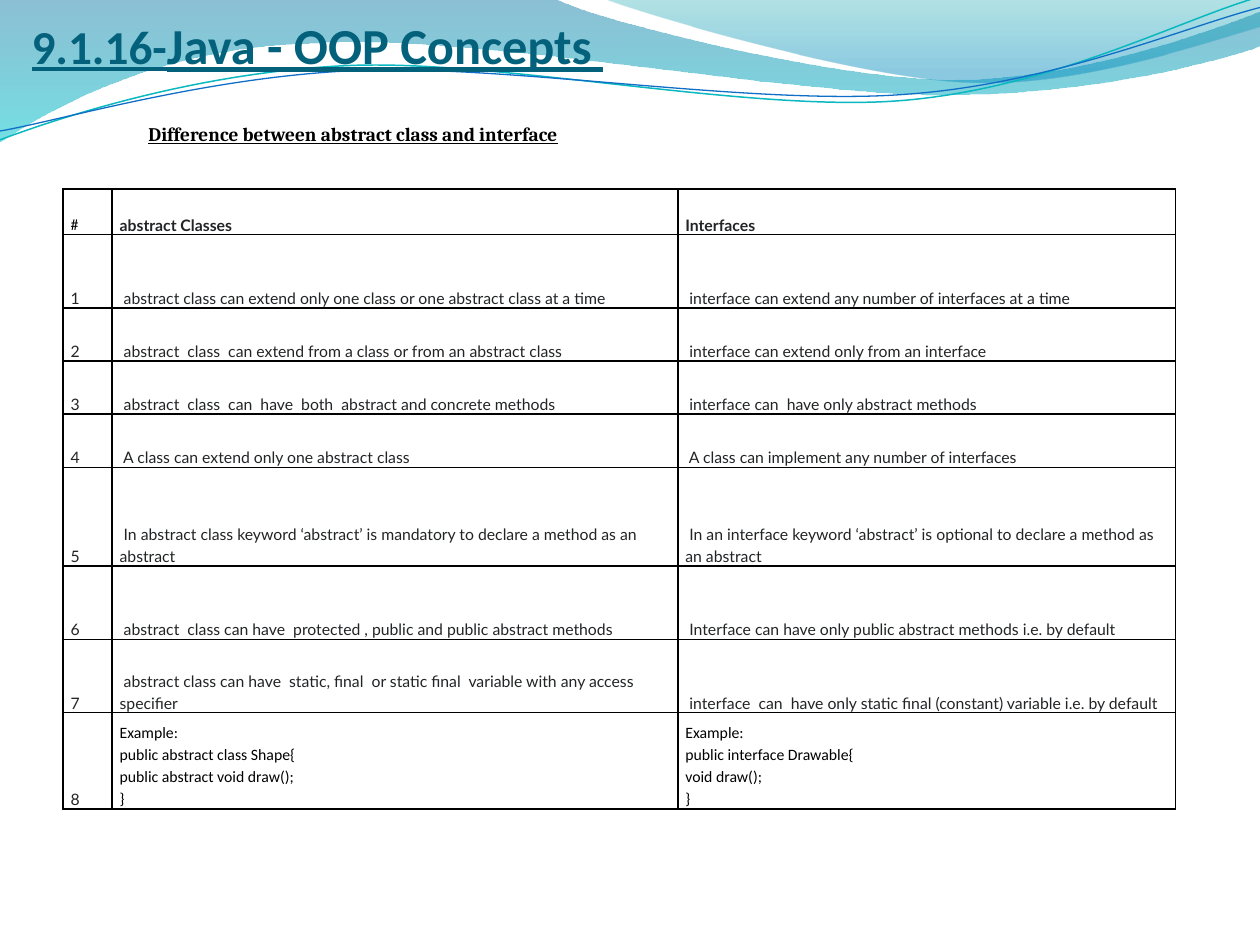
from copy import deepcopy
from math import cos, radians, sin
from pptx import Presentation
from pptx.dml.color import RGBColor
from pptx.enum.text import MSO_ANCHOR as Anchor, MSO_AUTO_SIZE as AutoSize, PP_ALIGN as Align
from pptx.oxml import parse_xml
from pptx.oxml.ns import nsdecls, qn
from pptx.util import Inches, Pt

# Content
TITLE = [("9.1.16-", 27), ("Java - OOP Concepts ", 28.8)]
SUBTITLE = "Difference between abstract class and interface"
ROWS = [
    ("#", "abstract Classes", "Interfaces"),
    ("1", " abstract class can extend only one class or one abstract class at a time",
     " interface can extend any number of interfaces at a time"),
    ("2", " abstract  class  can extend from a class or from an abstract class",
     " interface can extend only from an interface"),
    ("3", " abstract  class  can  have  both  abstract and concrete methods",
     " interface can  have only abstract methods"),
    ("4", " A class can extend only one abstract class",
     " A class can implement any number of interfaces"),
    ("5", " In abstract class keyword ‘abstract’ is mandatory to declare a method as an abstract",
     " In an interface keyword ‘abstract’ is optional to declare a method as an abstract"),
    ("6", " abstract  class can have  protected , public and public abstract methods",
     " Interface can have only public abstract methods i.e. by default"),
    ("7", " abstract class can have  static, final  or static final  variable with any access specifier",
     " interface  can  have only static final (constant) variable i.e. by default"),
    ("8", "Example:\vpublic abstract class Shape{\vpublic abstract void draw();\v}",
     "Example:\vpublic interface Drawable{\vvoid draw();\v}"),
]
COLUMN_WIDTHS = [0.39, 4.49, 3.95]
TABLE_HEIGHT = 4.92
ROW_SHARES = [0.36, 0.58, 0.42, 0.42, 0.42, 0.78, 0.58, 0.58, 0.76]
COLORS = {"title": "04617B", "body": "222426", "black": "000000", "white": "FFFFFF"}

# Header waves: a start point, then segments of one point (line) or three (Bezier curve)
BANDS = [
    {"outline": [(0, 0), [(4.4, -0.01)], [(4.76, 0.17), (6.64, 0.63), (7.58, 0.63)],
                 [(8.53, 0.63), (9.58, 0.26), (10, 0.09)], [(10.01, 0.36)],
                 [(9.83, 0.44), (8.7, 0.76), (7.46, 0.75)],
                 [(6.22, 0.75), (3.82, 0.28), (2.57, 0.34)],
                 [(1.29, 0.36), (0.46, 0.83), (-0.01, 1.13)], [(0, 0)]],
     "stops": [(0, "0074A1", 45), (1, "00C6CF", 55)]},
    {"outline": [(4.79, -0.01), [(5.09, 0.11), (6.82, 0.62), (7.69, 0.65)],
                 [(8.56, 0.69), (9.61, 0.32), (10, 0.21)], [(10, 0)], [(4.79, -0.01)]],
     "stops": [(0, "00A1A9", 30), (0.8, "008BBF", 45)]},
]
STRANDS = [
    {"outline": [(0, 1.11), [(0.48, 0.93), (1.58, 0.57), (2.77, 0.52)],
                 [(3.95, 0.47), (5.93, 0.89), (7.13, 0.8)],
                 [(8.33, 0.71), (9.38, 0.15), (9.98, -0.02)]],
     "center": (4.99, 0.57), "color": "0AB8BF", "width": 0.85},
    {"outline": [(0, 1.04), [(0.47, 0.96), (1.64, 0.61), (2.83, 0.56)],
                 [(4.03, 0.51), (5.97, 0.84), (7.17, 0.75)],
                 [(8.36, 0.67), (9.41, 0.21), (10, 0.06)]],
     "center": (5, 0.59), "color": "0F6FC6", "width": 0.75},
]
TILT = 2.7


def turn(point, center, degrees):
    """Rotate a point clockwise about a center."""
    dx, dy = point[0] - center[0], point[1] - center[1]
    c, s = cos(radians(degrees)), sin(radians(degrees))
    return center[0] + dx * c - dy * s, center[1] + dx * s + dy * c


def add_wave(page, outline, close, center=(0, 0), tilt=0):
    start, *segments = outline
    points = [turn(p, center, tilt) for p in [start, *sum(segments, [])]]
    points = [(Inches(x), Inches(y)) for x, y in points]
    builder = page.shapes.build_freeform(*points[0])
    builder.add_line_segments(points[1:], close=close)
    wave = builder.convert_to_shape()
    wave.shadow.inherit = False
    wave.rotation = -tilt % 360
    # Join the corners of each three-point segment into one curve
    corners = iter(list(wave._element.iter(qn("a:lnTo"))))
    for segment in segments:
        lines = [next(corners) for _ in segment]
        if len(lines) == 3:
            curve = parse_xml(f'<a:cubicBezTo {nsdecls("a")}/>')
            lines[0].addprevious(curve)
            for line in lines:
                curve.append(line[0])
                line.getparent().remove(line)
    return wave


def format_font(font, color, **values):
    font.color.rgb = RGBColor.from_string(COLORS[color])
    for name, value in values.items():
        setattr(font, name, value)


def format_frame(frame, **values):
    for name, value in values.items():
        setattr(frame, name, value)


def fill_cell(cell, text, color, font_name, bold):
    format_frame(cell, margin_left=Inches(0.06), margin_right=Inches(0.06),
                 margin_top=0, margin_bottom=0, vertical_anchor=Anchor.BOTTOM)
    cell.fill.solid()
    cell.fill.fore_color.rgb = RGBColor.from_string(COLORS["white"])
    para = cell.text_frame.paragraphs[0]
    para.text = text
    para.line_spacing = 1.15
    for span in para.runs:
        format_font(span.font, color, name=font_name, size=Pt(9), bold=bold)
    for line_break in para._p.findall(qn("a:br")):
        line_break.append(deepcopy(para.runs[0]._r.rPr))
    # Borders come before the fill in the cell properties
    for index, side in enumerate(("lnL", "lnR", "lnT", "lnB")):
        cell._tc.tcPr.insert(index, parse_xml(
            f'<a:{side} {nsdecls("a")} w="{Pt(1)}"><a:solidFill>'
            f'<a:srgbClr val="{COLORS["black"]}"/></a:solidFill></a:{side}>'))


deck = Presentation()
deck.slide_width, deck.slide_height = Inches(10), Inches(7.5)
page = deck.slides.add_slide(deck.slide_layouts[5])

# Header waves
for band in BANDS:
    wave = add_wave(page, band["outline"], True)
    wave.line.fill.background()
    wave.fill.gradient()
    wave.fill.gradient_angle = 270
    for stop, (position, color, opacity) in zip(wave.fill.gradient_stops, band["stops"]):
        stop.position = position
        stop.color.rgb = RGBColor.from_string(color)
        stop._gs.find(qn("a:srgbClr")).append(
            parse_xml(f'<a:alpha {nsdecls("a")} val="{opacity * 1000}"/>'))
for strand in STRANDS:
    wave = add_wave(page, strand["outline"], False, strand["center"], TILT)
    wave.fill.background()
    wave.line.color.rgb = RGBColor.from_string(strand["color"])
    wave.line.width = Pt(strand["width"])

# Title, in front of the waves
title = page.shapes.title
page.shapes._spTree.append(title._element)
format_frame(title, left=Inches(0.25), top=Inches(0.17), width=Inches(9.17), height=Inches(0.42))
format_frame(title.text_frame, margin_left=0, margin_top=Inches(0.05), margin_right=0,
             margin_bottom=0, vertical_anchor=Anchor.BOTTOM, auto_size=AutoSize.NONE,
             word_wrap=True)
para = title.text_frame.paragraphs[0]
para.alignment = Align.LEFT
for text, size in TITLE:
    span = para.add_run()
    span.text = text
    format_font(span.font, "title", name="Calibri", size=Pt(size), bold=True, underline=True)

# Comparison table
table = page.shapes.add_table(len(ROWS), len(COLUMN_WIDTHS), Inches(0.5), Inches(1.5),
                              Inches(sum(COLUMN_WIDTHS)), Inches(TABLE_HEIGHT)).table
table.first_row = table.horz_banding = False
for column, width in zip(table.columns, COLUMN_WIDTHS):
    column.width = Inches(width)
for r, (row, share) in enumerate(zip(ROWS, ROW_SHARES)):
    table.rows[r].height = Inches(TABLE_HEIGHT * share / sum(ROW_SHARES))
    for c, text in enumerate(row):
        plain = text == "#" or "\v" in text
        color, font_name = ("black", "Calibri") if plain else ("body", "Lato")
        fill_cell(table.cell(r, c), text, color, font_name, r == 0 and c > 0)

# Subtitle
box = page.shapes.add_textbox(Inches(1.08), Inches(0.92), Inches(6.25), Inches(0.29))
format_frame(box.text_frame, word_wrap=True, auto_size=AutoSize.SHAPE_TO_FIT_TEXT)
span = box.text_frame.paragraphs[0].add_run()
span.text = SUBTITLE
format_font(span.font, "black", name="Cambria", size=Pt(11), bold=True, underline=True)

deck.save("out.pptx")
